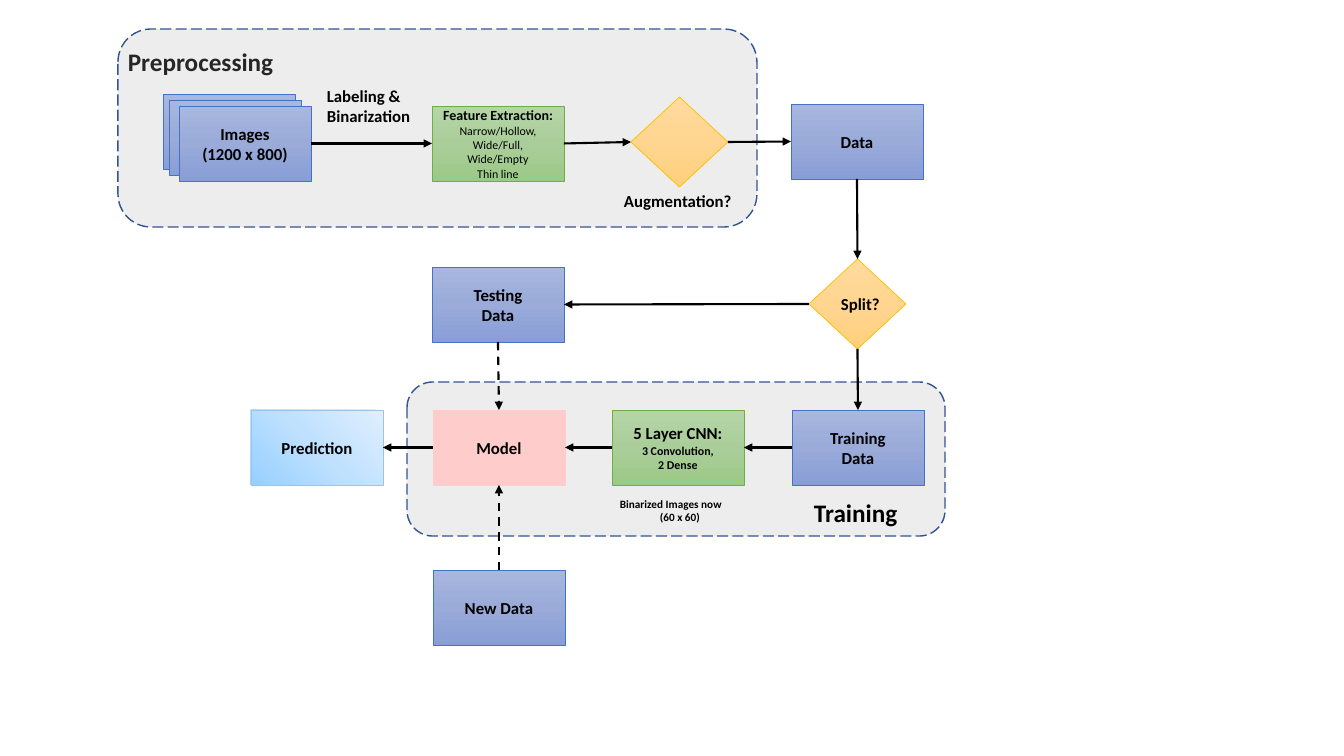
from pptx import Presentation
from pptx.dml.color import RGBColor
from pptx.enum.dml import MSO_LINE
from pptx.enum.shapes import MSO_CONNECTOR, MSO_SHAPE as Preset
from pptx.enum.text import MSO_ANCHOR, MSO_AUTO_SIZE, PP_ALIGN as Align
from pptx.oxml import parse_xml
from pptx.oxml.ns import nsdecls, qn
from pptx.util import Pt

EMU_PER_PX = 914400 / 100.8
SLIDE_SIZE = 1344, 756
BOX_SIZE = 132, 75
DIAMOND_SIZE = 97, 90
FONT = "Calibri"

BLACK = RGBColor(0x00, 0x00, 0x00)
CHARCOAL = RGBColor(0x26, 0x26, 0x26)
PANEL_GREY = RGBColor(0xED, 0xED, 0xED)
PANEL_EDGE = RGBColor(0x32, 0x54, 0x91)
PINK = RGBColor(0xFF, 0xCC, 0xCC)
BLUE_EDGE = RGBColor(0x44, 0x72, 0xC4)
GREEN_EDGE = RGBColor(0x70, 0xAD, 0x47)
GOLD_EDGE = RGBColor(0xFF, 0xC0, 0x00)
SKY_EDGE = RGBColor(0x9D, 0xC3, 0xE6)

DOWNWARD = '<a:lin ang="5400000" scaled="0"/>'
FROM_BOTTOM_LEFT = '<a:path path="circle"><a:fillToRect t="100000" r="100000"/></a:path>'

# style: (gradient stops or one solid colour, gradient direction, outline)
BLUE = (("A8B7DF", "9AABD9", "889ED7"), DOWNWARD, BLUE_EDGE)
GREEN = (("B5D5A7", "AACE9A", "9CC987"), DOWNWARD, GREEN_EDGE)
GOLD = (("FFDB9E", "FFD590", "FFD07C"), DOWNWARD, GOLD_EDGE)
SKY = (("96D0FF", "BFE1FF", "E0EFFF"), FROM_BOTTOM_LEFT, SKY_EDGE)
ROSE = (PINK, None, PINK)

PANELS = [(407, 382, 538, 154), (118, 29, 639, 198)]
IMAGE_STACK = [(163, 94), (169, 100)]

# name: (left, top, style, lines of (text, size, bold))
BOXES = {
    "images": (179, 106, BLUE, [("Images", 12, True), ("(1200 x 800)", 12, True)]),
    "features": (432, 106, GREEN, [
        ("Feature Extraction:", 10, True),
        ("Narrow/Hollow,", 8.5, False),
        ("Wide/Full, Wide/Empty", 8.5, False),
        ("Thin line", 8.5, False),
    ]),
    "data": (791, 104, BLUE, [("Data", 12, True)]),
    "testing": (432, 267, BLUE, [("Testing", 12, True), ("Data", 12, True)]),
    "training": (792, 410, BLUE, [("Training", 12, True), ("Data", 12, True)]),
    "cnn": (612, 410, GREEN, [
        ("5 Layer CNN:", 12, True),
        ("3 Convolution,", 8.5, True),
        ("2 Dense", 8.5, True),
    ]),
    "model": (433, 410, ROSE, [("Model", 12, True)]),
    "prediction": (251, 410, SKY, [("Prediction", 12, True)]),
    "new data": (433, 570, BLUE, [("New Data", 12, True)]),
}
DIAMONDS = {"augmentation": (631, 97), "split": (809, 259)}

# (left, top, width, height, wrap, size, colour, lines of (text, alignment))
LABELS = [
    (118, 41, 180, 40, True, 18, CHARCOAL, [("Preprocessing", Align.LEFT)]),
    (317, 81, 105, 50, False, 12, BLACK,
     [("Labeling &", Align.LEFT), ("Binarization", Align.LEFT)]),
    (614, 186, 129, 30, False, 12, BLACK, [("Augmentation?", Align.LEFT)]),
    (831, 289, 68, 30, True, 12, BLACK, [("Split?", Align.LEFT)]),
    (804, 492, 106, 40, True, 18, BLACK, [("Training", Align.LEFT)]),
    (610, 492, 140, 37, True, 8, BLACK,
     [("Binarized Images now", Align.LEFT), ("(60 x 60)", Align.CENTER)]),
]

# Connection sites of rectangles and diamonds
TOP, LEFT, BOTTOM, RIGHT = range(4)
ARROWS = [  # (from, site, to, site, dashed)
    ("images", RIGHT, "features", LEFT, False),
    ("features", RIGHT, "augmentation", LEFT, False),
    ("augmentation", RIGHT, "data", LEFT, False),
    ("data", BOTTOM, "split", TOP, False),
    ("split", LEFT, "testing", RIGHT, False),
    ("split", BOTTOM, "training", TOP, False),
    ("training", LEFT, "cnn", RIGHT, False),
    ("cnn", LEFT, "model", RIGHT, False),
    ("model", LEFT, "prediction", RIGHT, False),
    ("testing", BOTTOM, "model", TOP, True),
    ("new data", TOP, "model", BOTTOM, True),
]


def px(*lengths):
    """Turn pixel lengths into EMU."""
    return [round(length * EMU_PER_PX) for length in lengths]


def set_gradient(shape, colours, direction):
    """Swap the solid fill for an evenly spaced gradient."""
    step = 100000 // (len(colours) - 1)
    stops = "".join(
        f'<a:gs pos="{index * step}"><a:srgbClr val="{colour}"/></a:gs>'
        for index, colour in enumerate(colours))
    gradient = parse_xml(
        f'<a:gradFill {nsdecls("a")} rotWithShape="1">'
        f'<a:gsLst>{stops}</a:gsLst>{direction}</a:gradFill>')
    properties = shape.element.spPr
    properties.replace(properties.find(qn("a:solidFill")), gradient)


def add_node(slide, preset, position, size, style, line_width=0.5):
    fill, direction, edge = style
    shape = slide.shapes.add_shape(preset, *px(*position, *size))
    shape.shadow.inherit = False
    shape.fill.solid()
    if direction:
        set_gradient(shape, fill, direction)
    else:
        shape.fill.fore_color.rgb = fill
    shape.line.color.rgb = edge
    shape.line.width = Pt(line_width)
    return shape


def write_lines(frame, lines):
    """Write one paragraph per (text, size, bold, colour, alignment)."""
    for index, (text, size, bold, colour, alignment) in enumerate(lines):
        paragraph = frame.add_paragraph() if index else frame.paragraphs[0]
        paragraph.text = text
        paragraph.alignment = alignment
        font = paragraph.font
        font.name, font.size, font.bold = FONT, Pt(size), bold
        font.color.rgb = colour


def add_label(slide, left, top, width, height, wrap, size, colour, lines):
    frame = slide.shapes.add_textbox(*px(left, top, width, height)).text_frame
    frame.word_wrap = wrap
    frame.auto_size = MSO_AUTO_SIZE.SHAPE_TO_FIT_TEXT
    write_lines(frame, [(text, size, True, colour, alignment) for text, alignment in lines])


def add_arrow(slide, start, start_site, end, end_site, dashed):
    arrow = slide.shapes.add_connector(MSO_CONNECTOR.STRAIGHT, 0, 0, 0, 0)
    arrow.begin_connect(start, start_site)
    arrow.end_connect(end, end_site)
    arrow.line.color.rgb = BLACK
    arrow.line.width = Pt(1.5)
    if dashed:
        arrow.line.dash_style = MSO_LINE.DASH
    arrow.line._get_or_add_ln().append(
        parse_xml(f'<a:tailEnd {nsdecls("a")} type="triangle"/>'))
    arrow.element.spPr.append(parse_xml(f'<a:effectLst {nsdecls("a")}/>'))


def main():
    presentation = Presentation()
    presentation.slide_width, presentation.slide_height = px(*SLIDE_SIZE)
    slide = presentation.slides.add_slide(presentation.slide_layouts[6])

    for left, top, width, height in PANELS:
        panel = add_node(slide, Preset.FLOWCHART_ALTERNATE_PROCESS, (left, top),
                         (width, height), (PANEL_GREY, None, PANEL_EDGE), 1)
        panel.line.dash_style = MSO_LINE.LONG_DASH
    for position in IMAGE_STACK:
        add_node(slide, Preset.FLOWCHART_PROCESS, position, BOX_SIZE, BLUE)

    nodes = {}
    for name, (left, top, style, lines) in BOXES.items():
        box = add_node(slide, Preset.FLOWCHART_PROCESS, (left, top), BOX_SIZE, style)
        box.text_frame.word_wrap = True
        box.text_frame.vertical_anchor = MSO_ANCHOR.MIDDLE
        write_lines(box.text_frame, [(*line, BLACK, Align.CENTER) for line in lines])
        nodes[name] = box
    for name, position in DIAMONDS.items():
        nodes[name] = add_node(slide, Preset.FLOWCHART_DECISION, position, DIAMOND_SIZE, GOLD)

    for label in LABELS:
        add_label(slide, *label)
    for start, start_site, end, end_site, dashed in ARROWS:
        add_arrow(slide, nodes[start], start_site, nodes[end], end_site, dashed)

    presentation.save("out.pptx")


if __name__ == "__main__":
    main()
